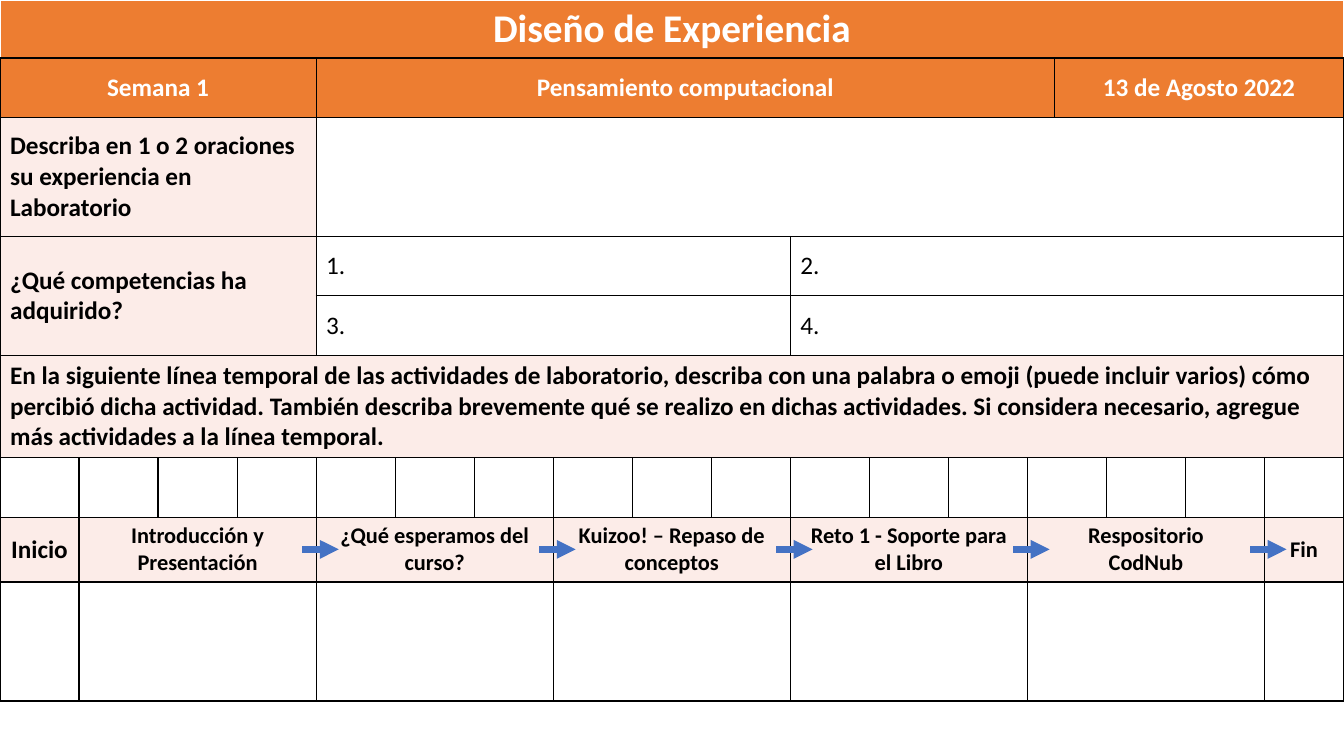
from dataclasses import dataclass

from lxml.etree import SubElement
from pptx import Presentation
from pptx.dml.color import RGBColor
from pptx.enum.shapes import MSO_CONNECTOR
from pptx.enum.text import MSO_ANCHOR, PP_ALIGN
from pptx.oxml.ns import qn
from pptx.util import Inches, Pt

ORANGE, PINK, WHITE, BLACK, BLUE = "ED7D31", "FCECE8", "FFFFFF", "000000", "4472C4"
UNIT = 13.33 / 17
# The fourteenth unit is split so that the date can start inside it
WIDTHS = [UNIT] * 13 + [0.27, UNIT - 0.27] + [UNIT] * 3
HEIGHTS = [0.57, 0.59, 1.18, 0.59, 0.59, 1.01, 0.59, 0.64, 1.18]


@dataclass
class Box:
    row: int
    col: int
    wide: int
    text: str = ""
    fill: str = WHITE
    color: str = BLACK
    size: int = 18
    bold: bool = True
    center: bool = False
    tall: int = 1


def rgb(code: str) -> RGBColor:
    return RGBColor.from_string(code)


def edge(cell, side: str, color: str) -> None:
    line = SubElement(cell._tc.get_or_add_tcPr(), qn(f"a:ln{side}"), w=str(Pt(1)))
    fill = SubElement(line, qn("a:solidFill"))
    SubElement(fill, qn("a:srgbClr"), val=color)


def draw_box(table, box: Box) -> None:
    cell = table.cell(box.row, box.col)
    if box.wide * box.tall > 1:
        cell.merge(table.cell(box.row + box.tall - 1, box.col + box.wide - 1))
    cell.fill.solid()
    cell.fill.fore_color.rgb = rgb(box.fill)
    cell.vertical_anchor = MSO_ANCHOR.MIDDLE
    cell.text = box.text
    para = cell.text_frame.paragraphs[0]
    para.alignment = PP_ALIGN.CENTER if box.center else PP_ALIGN.LEFT
    font = para.font
    font.name, font.size, font.bold = "Calibri", Pt(box.size), box.bold
    font.color.rgb = rgb(box.color)


def draw_arrow(slide, left: float, top: float, wide: float) -> None:
    arrow = slide.shapes.add_connector(
        MSO_CONNECTOR.STRAIGHT, Inches(left), Inches(top), Inches(left + wide), Inches(top))
    arrow.line.color.rgb = rgb(BLUE)
    arrow.line.width = Pt(4.5)
    SubElement(arrow.line._get_or_add_ln(), qn("a:tailEnd"), type="triangle")
    SubElement(arrow._element.spPr, qn("a:effectLst"))


def head(row: int, col: int, wide: int, text: str, size: int = 18) -> Box:
    return Box(row, col, wide, text, ORANGE, WHITE, size, center=True)


# Headings, questions and answers
boxes = [
    head(0, 0, 18, "Diseño de Experiencia", 28),
    head(1, 0, 4, "Semana 1"),
    head(1, 4, 10, "Pensamiento computacional"),
    head(1, 14, 4, "13 de Agosto 2022"),
    Box(2, 0, 4, "Describa en 1 o 2 oraciones su experiencia en Laboratorio", PINK),
    Box(2, 4, 14),
    Box(3, 0, 4, "¿Qué competencias ha adquirido?", PINK, tall=2),
    Box(5, 0, 18, "En la siguiente línea temporal de las actividades de laboratorio, "
        "describa con una palabra o emoji (puede incluir varios) cómo percibió dicha "
        "actividad. También describa brevemente qué se realizo en dichas actividades. "
        "Si considera necesario, agregue más actividades a la línea temporal.", PINK),
]
for num in range(4):
    row, side = divmod(num, 2)
    boxes.append(Box(3 + row, 4 + 6 * side, 6 + 2 * side, f"{num + 1}.", bold=False))

# Emoji row: one box per unit
boxes += [Box(6, col, 2 if col == 13 else 1) for col in range(18) if col != 14]

# Timeline: a label with an empty box below
steps = [
    (0, 1, "Inicio", 18),
    (1, 3, "Introducción y Presentación", 16),
    (4, 3, "¿Qué esperamos del curso?", 16),
    (7, 3, "Kuizoo! – Repaso de conceptos", 16),
    (10, 3, "Reto 1 - Soporte para el Libro", 16),
    (13, 4, "Respositorio\vCodNub", 16),
    (17, 1, "Fin", 16),
]
for col, wide, text, size in steps:
    boxes.append(Box(7, col, wide, text, PINK, size=size, center=True))
    boxes.append(Box(8, col, wide))

deck = Presentation()
deck.slide_width, deck.slide_height = Inches(13.33), Inches(7.5)
slide = deck.slides.add_slide(deck.slide_layouts[6])

# Table grid
table = slide.shapes.add_table(
    len(HEIGHTS), len(WIDTHS), 0, 0, Inches(13.33), Inches(sum(HEIGHTS))).table
table.first_row = table.horz_banding = False
for col, width in zip(table.columns, WIDTHS):
    col.width = Inches(width)
for row, height in zip(table.rows, HEIGHTS):
    row.height = Inches(height)

# Borders come before fills
for num, row in enumerate(table.rows):
    for cell in row.cells:
        for side in "LRTB":
            edge(cell, side, WHITE if num == 0 and side != "B" else BLACK)
for box in boxes:
    draw_box(table, box)

# Arrows between steps
for num in range(5):
    draw_arrow(slide, 3 + 2.35 * num, 5.45, 0.36)

deck.save("out.pptx")
